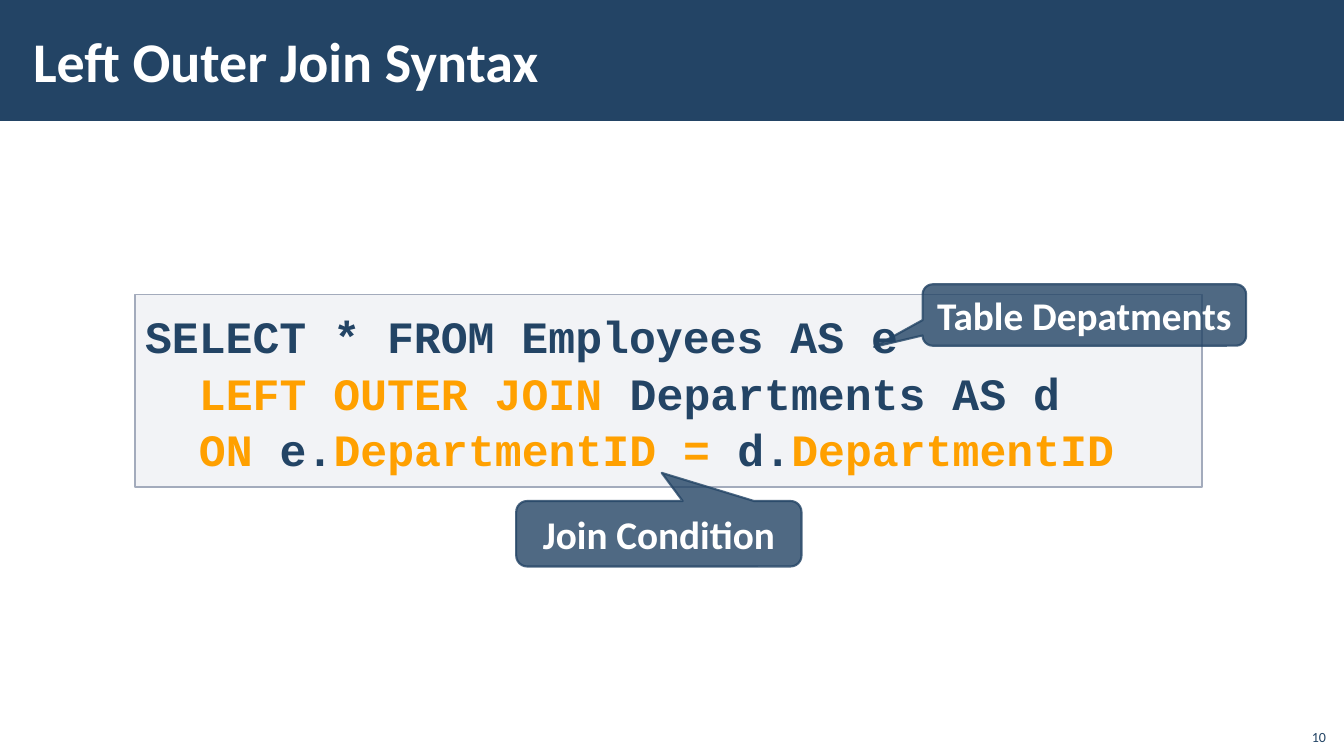
"""Builds the slide on left outer join syntax."""
from lxml import etree
from pptx import Presentation
from pptx.dml.color import RGBColor
from pptx.enum.shapes import MSO_SHAPE
from pptx.enum.text import MSO_ANCHOR, PP_ALIGN
from pptx.oxml.ns import qn
from pptx.util import Inches, Pt

NAVY = RGBColor(0x23, 0x44, 0x65)
ORANGE = RGBColor(0xFF, 0xA0, 0x00)
WHITE = RGBColor(0xFF, 0xFF, 0xFF)
CODE_FILL = RGBColor(0xC2, 0xC7, 0xD2)
CODE_LINE = RGBColor(0xA3, 0xAB, 0xBC)

CODE = [
    [("SELECT * FROM Employees AS e", NAVY)],
    [("  ", NAVY), ("LEFT OUTER JOIN ", ORANGE), ("Departments AS d", NAVY)],
    [("  ", NAVY), ("ON ", ORANGE), ("e.", NAVY), ("DepartmentID = ", ORANGE),
     ("d.", NAVY), ("DepartmentID", ORANGE)],
]


def set_opacity(fill, percent):
    """Make a solid fill partly transparent."""
    color = fill._xPr.find(qn("a:solidFill"))[0]
    etree.SubElement(color, qn("a:alpha")).set("val", str(percent * 1000))


def add_panel(page, kind, box, color, opacity=100):
    """Add a filled shape without shadow or outline."""
    panel = page.shapes.add_shape(kind, *map(Inches, box))
    panel.shadow.inherit = False
    panel.fill.solid()
    panel.fill.fore_color.rgb = color
    set_opacity(panel.fill, opacity)
    panel.line.fill.background()
    return panel


def style(para, size, color, bold=True, name="Calibri", align=PP_ALIGN.LEFT):
    """Set the font and alignment of a paragraph."""
    para.alignment = align
    para.font.name = name
    para.font.size = Pt(size)
    para.font.bold = bold
    para.font.color.rgb = color


def add_label(page, box, text, anchor, **look):
    """Add a one-line text box."""
    frame = page.shapes.add_textbox(*map(Inches, box)).text_frame
    frame.word_wrap = True
    frame.vertical_anchor = anchor
    frame.paragraphs[0].text = text
    style(frame.paragraphs[0], **look)


def add_header(page, box, title):
    """Draw the title band and its title."""
    left, top, width, height = box
    add_panel(page, MSO_SHAPE.RECTANGLE, box, NAVY)
    add_label(page, (left + 0.23, top + 0.11, width - 2.7, height - 0.23),
              title, MSO_ANCHOR.MIDDLE, size=40, color=WHITE)


def add_code(page, box, lines):
    """Draw the code panel with its coloured lines."""
    panel = add_panel(page, MSO_SHAPE.RECTANGLE, box, CODE_FILL, 20)
    panel.line.color.rgb = CODE_LINE
    panel.line.width = Pt(1)
    frame = panel.text_frame
    frame.word_wrap = True
    frame.vertical_anchor = MSO_ANCHOR.TOP
    frame.margin_top = frame.margin_bottom = Inches(0.12)
    frame.margin_right = 0
    for index, line in enumerate(lines):
        para = frame.add_paragraph() if index else frame.paragraphs[0]
        style(para, 32, NAVY, name="Courier New")
        para.line_spacing = 1.05
        for text, color in line:
            span = para.add_run()
            span.text = text
            span.font.color.rgb = color


def add_callout(page, box, text, tip):
    """Draw a callout whose tip is given as shares of its size."""
    callout = add_panel(page, MSO_SHAPE.ROUNDED_RECTANGULAR_CALLOUT, box, NAVY, 80)
    callout.adjustments[0], callout.adjustments[1] = tip
    callout.line.color.rgb = NAVY
    callout.line.width = Pt(1.5)
    set_opacity(callout.line.fill, 80)
    frame = callout.text_frame
    frame.word_wrap = True
    frame.vertical_anchor = MSO_ANCHOR.MIDDLE
    frame.paragraphs[0].text = text
    style(frame.paragraphs[0], 28, WHITE, align=PP_ALIGN.CENTER)


def main():
    """Build and save the deck."""
    deck = Presentation()
    deck.slide_width, deck.slide_height = Inches(13.33), Inches(7.5)
    page = deck.slides.add_slide(deck.slide_layouts[6])
    add_header(page, (0, 0, 13.33, 1.2), "Left Outer Join Syntax")
    add_code(page, (1.34, 2.92, 10.58, 1.91), CODE)
    add_callout(page, (9.15, 2.82, 3.21, 0.61), "Table Depatments", (-0.65, 0.52))
    add_callout(page, (5.12, 4.97, 2.83, 0.65), "Join Condition", (0.01, -0.93))
    add_label(page, (12.85, 7.12, 0.4, 0.32), "10", MSO_ANCHOR.BOTTOM,
              size=10, color=NAVY, bold=False, align=PP_ALIGN.RIGHT)
    deck.save("out.pptx")


if __name__ == "__main__":
    main()
